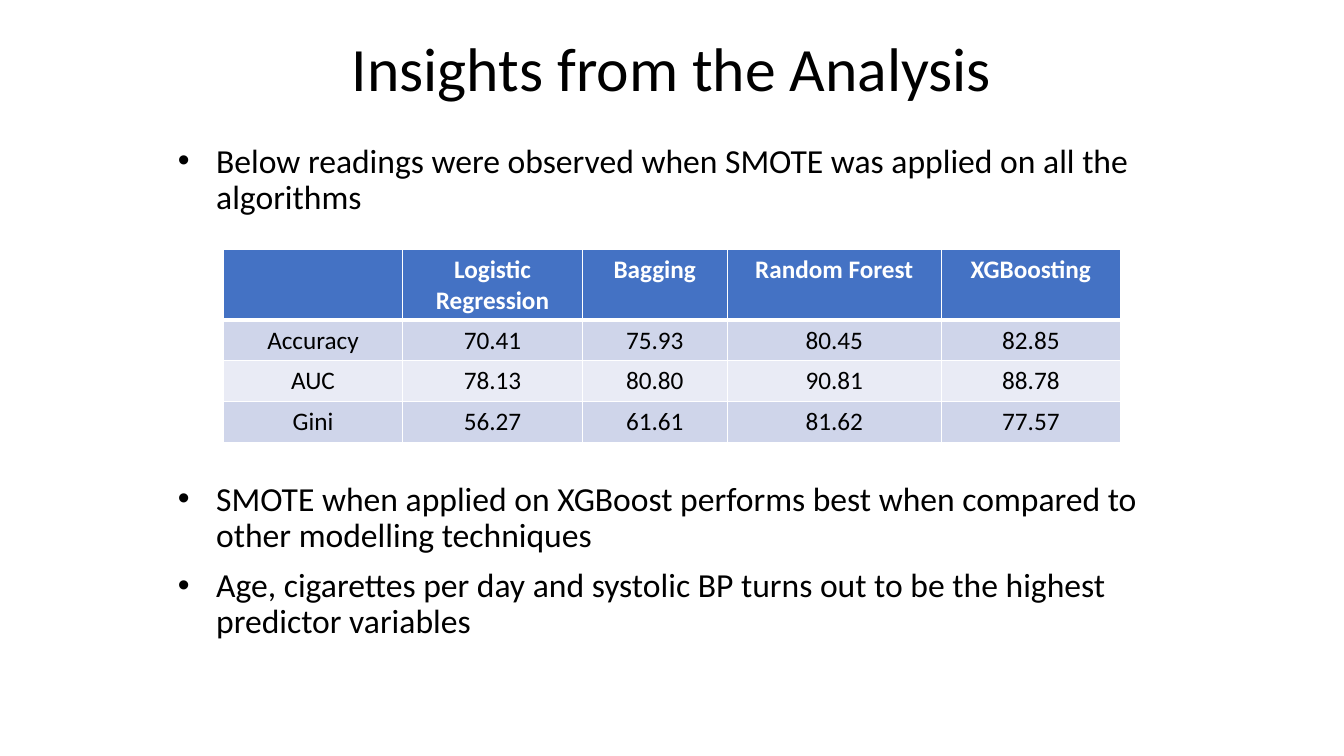
from lxml import etree
from pptx import Presentation
from pptx.dml.color import RGBColor
from pptx.enum.text import MSO_ANCHOR, PP_ALIGN
from pptx.oxml.ns import qn
from pptx.util import Inches, Pt

CENTER, LEFT = PP_ALIGN.CENTER, PP_ALIGN.LEFT
TOP, BOTTOM = MSO_ANCHOR.TOP, MSO_ANCHOR.BOTTOM
SLIDE_WIDTH, SLIDE_HEIGHT = Inches(13.33), Inches(7.5)
MARGIN, CONTENT_WIDTH = SLIDE_WIDTH // 8, SLIDE_WIDTH * 3 // 4
FONT = "Calibri"
BLACK, WHITE, BLUE = "000000", "FFFFFF", "4472C4"
BANDS = ("CFD5EA", "E9EBF5")

TITLE = "Insights from the Analysis"
INTRODUCTION = ["Below readings were observed when SMOTE was applied on all the algorithms"]
FINDINGS = [
    "SMOTE when applied on XGBoost performs best when compared to other modelling techniques",
    "Age, cigarettes per day and systolic BP turns out to be the highest predictor variables",
]
SCORES = [
    ["", "Logistic Regression", "Bagging", "Random Forest", "XGBoosting"],
    ["Accuracy", "70.41", "75.93", "80.45", "82.85"],
    ["AUC", "78.13", "80.80", "90.81", "88.78"],
    ["Gini", "56.27", "61.61", "81.62", "77.57"],
]
COLUMN_WIDTHS = [1.78, 1.78, 1.44, 2.12, 1.78]
HEADER_HEIGHT, ROW_HEIGHT = 0.7, 0.405


def color(value):
    """Turn a hex string into a colour."""
    return RGBColor.from_string(value)


def write(paragraph, text, size, align, fill=BLACK, bold=False):
    """Write text into a paragraph with its font and alignment."""
    paragraph.alignment = align
    paragraph.text = text
    font_format = {"name": FONT, "size": Pt(size), "bold": bold}
    for name, value in font_format.items():
        setattr(paragraph.font, name, value)
    paragraph.font.color.rgb = color(fill)


def add_text(slide, top, height, lines, size, align=LEFT, anchor=TOP, bulleted=False):
    """Add a text box across the content width, top and height as slide shares."""
    shape = slide.shapes.add_textbox(
        MARGIN, int(SLIDE_HEIGHT * top), CONTENT_WIDTH, int(SLIDE_HEIGHT * height))
    frame = shape.text_frame
    frame.word_wrap = True
    frame.vertical_anchor = anchor
    for index, line in enumerate(lines):
        paragraph = frame.add_paragraph() if index else frame.paragraphs[0]
        write(paragraph, line, size, align)
        paragraph.line_spacing = 0.9
        if bulleted:
            paragraph.space_before = Pt(10)
            add_bullet(paragraph)


def add_bullet(paragraph):
    """Give a paragraph a round bullet and a hanging indent."""
    properties = paragraph._p.get_or_add_pPr()
    properties.set("marL", str(Inches(0.38)))
    properties.set("indent", str(-Inches(0.38)))
    bullet_font = etree.Element(qn("a:buFont"), typeface="Arial")
    bullet = etree.Element(qn("a:buChar"), char="•")
    position = len(properties.findall(qn("a:lnSpc")) + properties.findall(qn("a:spcBef")))
    properties.insert(position, bullet_font)
    properties.insert(position + 1, bullet)


def add_borders(cell, top, bottom):
    """Draw white cell borders, top and bottom widths in points."""
    properties = cell._tc.get_or_add_tcPr()
    for side, width in {"L": 1, "R": 1, "T": top, "B": bottom}.items():
        line = etree.SubElement(properties, qn(f"a:ln{side}"), w=str(Pt(width)))
        fill = etree.SubElement(line, qn("a:solidFill"))
        etree.SubElement(fill, qn("a:srgbClr"), val=WHITE)


def add_score_table(slide, top):
    """Add the banded score table in the middle of the slide."""
    width = Inches(sum(COLUMN_WIDTHS))
    heights = [HEADER_HEIGHT] + [ROW_HEIGHT] * (len(SCORES) - 1)
    table = slide.shapes.add_table(
        len(SCORES), len(COLUMN_WIDTHS), (SLIDE_WIDTH - width) // 2,
        int(SLIDE_HEIGHT * top), width, Inches(sum(heights))).table
    for column, column_width in zip(table.columns, COLUMN_WIDTHS):
        column.width = Inches(column_width)
    for index, (row, values) in enumerate(zip(table.rows, SCORES)):
        row.height = Inches(heights[index])
        header = index == 0
        for cell, value in zip(row.cells, values):
            add_borders(cell, 3 if index == 1 else 1, 3 if header else 1)
            cell.fill.solid()
            cell.fill.fore_color.rgb = color(BLUE if header else BANDS[(index - 1) % 2])
            write(cell.text_frame.paragraphs[0], value, 18, CENTER,
                  WHITE if header else BLACK, header)


def main():
    """Build the slide and save it."""
    presentation = Presentation()
    presentation.slide_width, presentation.slide_height = SLIDE_WIDTH, SLIDE_HEIGHT
    slide = presentation.slides.add_slide(presentation.slide_layouts[6])
    add_text(slide, 0.02, 0.125, [TITLE], 44, CENTER, BOTTOM)
    add_text(slide, 0.184, 0.12, INTRODUCTION, 24, bulleted=True)
    add_score_table(slide, 0.33)
    add_text(slide, 0.631, 0.25, FINDINGS, 24, bulleted=True)
    presentation.save("out.pptx")


if __name__ == "__main__":
    main()
